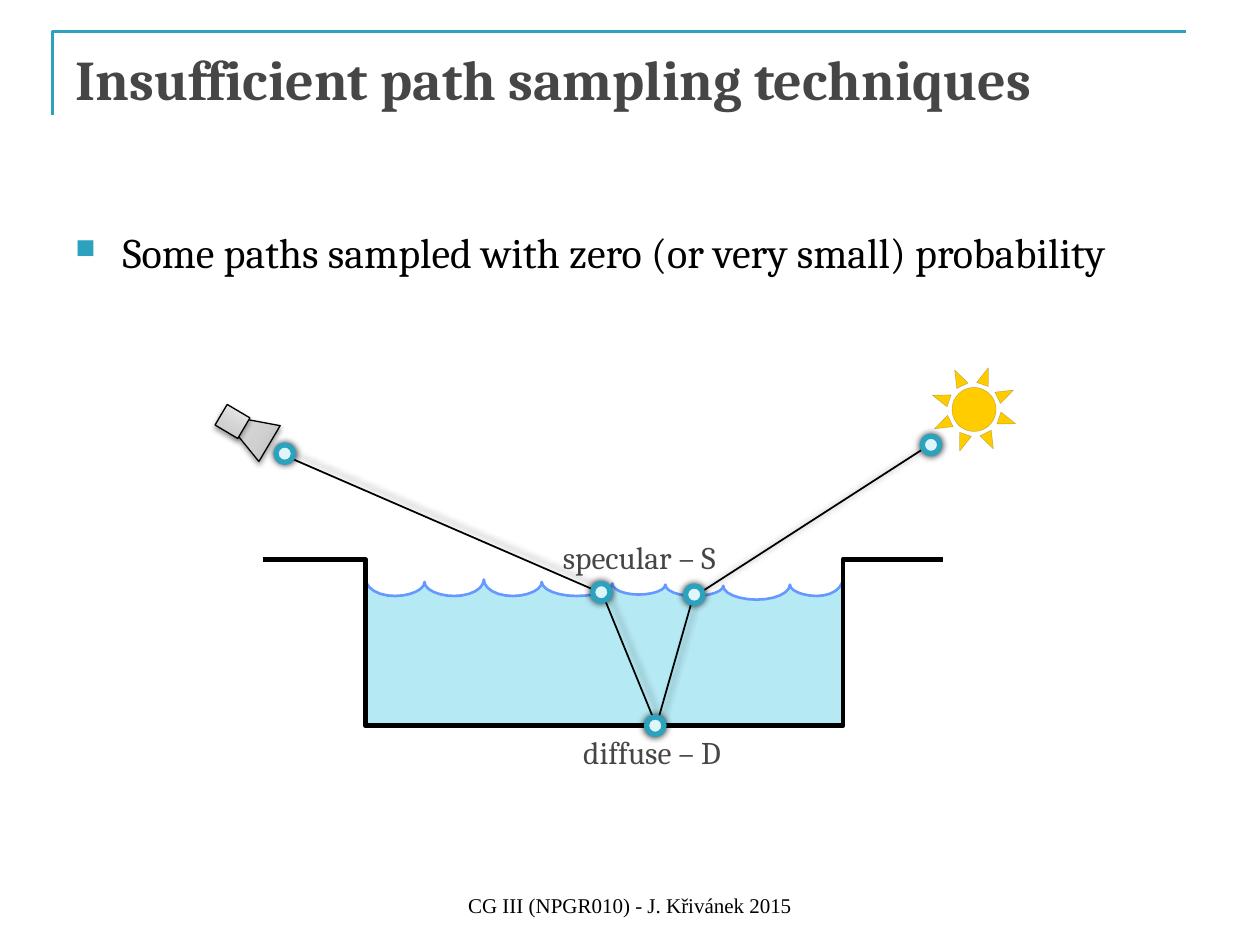
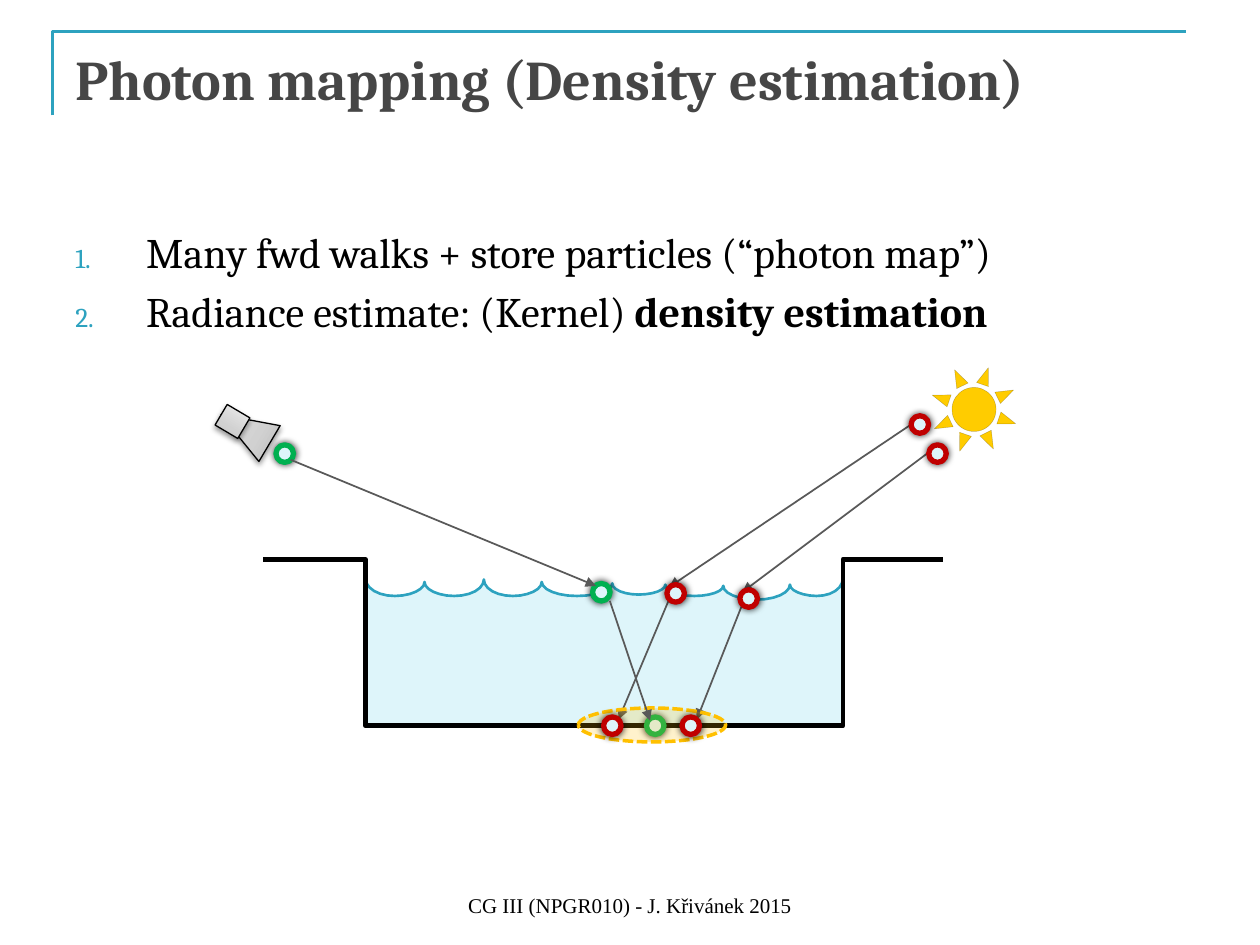
from dataclasses import dataclass
from math import cos, pi, sin

from pptx import Presentation
from pptx.dml.color import RGBColor
from pptx.enum.dml import MSO_LINE
from pptx.enum.shapes import MSO_CONNECTOR, MSO_SHAPE
from pptx.enum.text import MSO_ANCHOR, PP_ALIGN
from pptx.oxml import parse_xml
from pptx.oxml.ns import nsdecls
from pptx.util import Pt


@dataclass(frozen=True)
class Theme:
    teal: str = "2DA2BF"
    gray: str = "464646"
    black: str = "000000"
    arrow: str = "595959"
    pale: str = "DEF5FA"
    water: str = "B5E9F4"
    wave: str = "6699FF"
    green: str = "00B050"
    red: str = "C00000"
    sun: str = "FFCC00"
    glow: str = "FFC000"
    metal: tuple = ((0, "BDBDBD"), (35, "D1D1D1"), (100, "EEEEEE"))
    font: str = "Cambria"
    foot: str = "Times New Roman"
    head_size: int = 32
    body_size: int = 24
    label_size: int = 18
    foot_size: int = 12


THEME = Theme()

# Shadows: opacity %, blur, distance, angle
RING_SHADE = (80, 4, 0, 129)
CAM_SHADE = (38, 3.1, 1.6, 90)
PATH_SHADE = (40, 4, 3, 315)

# Wave crests (x, y) and the trough after each of them
CRESTS = [(208.8, 330.5), (242.6, 332.6), (276.5, 331.2), (309.6, 332.6),
          (349.9, 333.4), (380.2, 334.1), (413.3, 334.8), (451.4, 334.1),
          (481.7, 330.5)]
TROUGHS = [340.6, 340.6, 340.6, 340.6, 339.8, 340.6, 342.7, 340.6]
STEPS = 12
FLOOR = 414.7

# Path vertices
EYE = (162.7, 259.2)
ENTRY = (343.6, 338.4)
HIT = (374.4, FLOOR)


# Styling
def node(tag, attrs="", inner=""):
    return parse_xml(f"<a:{tag} {nsdecls('a')} {attrs}>{inner}</a:{tag}>")


def rgb(code):
    return RGBColor.from_string(code)


def style(shape, fill, line, width, shade=None):
    if fill:
        shape.fill.solid()
        shape.fill.fore_color.rgb = rgb(fill)
    else:
        shape.fill.background()
    shape.line.color.rgb = rgb(line)
    shape.line.width = Pt(width)
    shape.shadow.inherit = False
    if shade:
        alpha, blur, dist, angle = shade
        effect = shape.element.spPr.xpath("a:effectLst")[0]
        effect.append(node(
            "outerShdw",
            f'blurRad="{Pt(blur)}" dist="{Pt(dist)}" dir="{angle * 60000}" '
            'algn="ctr" rotWithShape="0"',
            f'<a:srgbClr val="{THEME.black}">'
            f'<a:alpha val="{alpha * 1000}"/></a:srgbClr>'))


def fade(shape, part, alpha):
    color = shape.element.spPr.xpath(f"{part}/a:srgbClr")[0]
    color.append(node("alpha", f'val="{alpha * 1000}"'))


def polish(shape):
    shape.fill.gradient()
    shape.fill.gradient_angle = 90
    stops = shape.element.spPr.xpath("a:gradFill/a:gsLst")[0]
    for stop in list(stops):
        stops.remove(stop)
    for pos, color in THEME.metal:
        stops.append(node("gs", f'pos="{pos * 1000}"',
                          f'<a:srgbClr val="{color}"/>'))


# Basic elements
def add_form(slide, kind, box, fill, line, width, turn=0, shade=None):
    shape = slide.shapes.add_shape(kind, *map(Pt, box))
    shape.rotation = turn
    style(shape, fill, line, width, shade)
    return shape


def add_path(slide, points, line, width, fill=None, shade=None, close=False):
    spots = [(Pt(x), Pt(y)) for x, y in points]
    pen = slide.shapes.build_freeform(*spots[0])
    pen.add_line_segments(spots[1:], close=close)
    style(pen.convert_to_shape(), fill, line, width, shade)


def add_arrow(slide, start, end):
    link = slide.shapes.add_connector(
        MSO_CONNECTOR.STRAIGHT, *map(Pt, start + end))
    link.line.color.rgb = rgb(THEME.arrow)
    link.line.width = Pt(1)
    props = link.element.spPr
    props.xpath("a:ln")[0].append(node("tailEnd", 'type="triangle"'))
    props.append(node("effectLst"))


def add_ring(slide, center, color):
    x, y = center
    add_form(slide, MSO_SHAPE.OVAL, (x - 5, y - 5, 10, 10),
             THEME.pale, color, 3, shade=RING_SHADE)


def set_font(font, size, color, name=THEME.font, bold=None):
    font.name, font.size, font.bold = name, Pt(size), bold
    font.color.rgb = rgb(color)


def add_box(slide, box, wrap=True):
    frame = slide.shapes.add_textbox(*map(Pt, box)).text_frame
    frame.word_wrap = wrap
    return frame


def add_label(slide, text, box):
    para = add_box(slide, box, wrap=False).paragraphs[0]
    para.text = text
    set_font(para.font, THEME.label_size, THEME.gray)


def add_list(slide, items, mark, indent):
    """Each item is a list of (text, bold) runs."""
    frame = add_box(slide, (36, 126, 648, 356.4))
    for i, runs in enumerate(items):
        para = frame.add_paragraph() if i else frame.paragraphs[0]
        if i:
            para.space_before = Pt(0.2 * THEME.body_size)
        props = para._p.get_or_add_pPr()
        props.set("marL", str(Pt(indent)))
        props.set("indent", str(-Pt(indent)))
        props.append(node("buClr", "", f'<a:srgbClr val="{THEME.teal}"/>'))
        props.append(node("buSzPct", 'val="65000"'))
        props.append(node(*mark))
        set_font(para.font, THEME.body_size, THEME.black)
        for text, bold in runs:
            run = para.add_run()
            run.text = text
            if bold:
                run.font.bold = True


# Shared parts of the slides
def add_frame(slide, title):
    add_path(slide, [(30, 66), (30, 18), (678, 18)], THEME.teal, 1.5)
    head = add_box(slide, (36, 21.6, 648, 90)).paragraphs[0]
    head.text = title
    set_font(head.font, THEME.head_size, THEME.gray, bold=True)


def add_foot(slide):
    frame = add_box(slide, (246, 492, 228, 36))
    frame.vertical_anchor = MSO_ANCHOR.BOTTOM
    para = frame.paragraphs[0]
    para.text = "CG III (NPGR010) - J. Křivánek 2015"
    para.alignment = PP_ALIGN.CENTER
    set_font(para.font, THEME.foot_size, THEME.black, THEME.foot)


def wave_points():
    points = [CRESTS[0]]
    for (x1, y1), (x2, y2), low in zip(CRESTS, CRESTS[1:], TROUGHS):
        for k in range(1, STEPS + 1):
            part = (1 - cos(pi * k / STEPS)) / 2
            top = y1 + (y2 - y1) * part
            points.append((x1 + (x2 - x1) * part,
                           top + (low - top) * sin(pi * k / STEPS)))
    return points


def add_scene(slide, water, wave):
    # Light and camera
    sun = add_form(slide, MSO_SHAPE.SUN, (531.4, 208.8, 50.4, 50.4),
                   THEME.sun, THEME.black, 0.25, 18.9)
    fade(sun, "a:ln/a:solidFill", 24)
    for kind, box, turn in (
            (MSO_SHAPE.ISOSCELES_TRIANGLE, (128.2, 229, 23.8, 32.4), 300.7),
            (MSO_SHAPE.RECTANGLE, (125.3, 234, 15.1, 13.7), 30.6)):
        polish(add_form(slide, kind, box, None, THEME.black, 0.75,
                        turn, CAM_SHADE))
    # Pool
    left, right = CRESTS[0][0], CRESTS[-1][0]
    add_path(slide, wave_points() + [(right, 414), (left, 414)],
             wave, 1.5, water, close=True)
    add_path(slide, [(538.8, 319.7), (right, 319.7), (right, FLOOR),
                     (left, FLOOR), (left, 319.7), (150.3, 319.7)],
             THEME.black, 2.75)


# Slides
def add_paths(slide):
    add_frame(slide, "Insufficient path sampling techniques")
    text = "Some paths sampled with zero (or very small) probability"
    add_list(slide, [[(text, False)]], ("buChar", 'char="■"'), 27)
    add_scene(slide, THEME.water, THEME.wave)
    add_path(slide, [(158.4, 258.5), (344.2, 339.1), (375.1, FLOOR),
                     (396, 341.3), (533.5, 252.7)],
             THEME.black, 1, shade=PATH_SHADE)
    add_label(slide, "diffuse – D", (326.2, 415.4, 103.7, 28.8))
    for spot in (HIT, (396.7, 339.8), ENTRY, (532, 254.2), EYE):
        add_ring(slide, spot, THEME.teal)
    add_label(slide, "specular – S", (314.6, 303.8, 113, 28.8))
    add_foot(slide)


def add_photons(slide):
    add_frame(slide, "Photon mapping (Density estimation)")
    add_list(slide, [
        [("Many fwd walks + store particles (“photon map”)", False)],
        [("Radiance estimate: (Kernel) ", False),
         ("density estimation", True)],
    ], ("buAutoNum", 'type="arabicPeriod"'), 40.5)
    add_scene(slide, THEME.pale, THEME.teal)
    add_foot(slide)
    # Camera path and photon walks
    for spot in (HIT, ENTRY, EYE):
        add_ring(slide, spot, THEME.green)
    for start, end in (((166.3, 262.8), (340.6, 334.8)),
                       ((527, 238.3), (382.3, 335.5)),
                       ((536.4, 254.2), (424.1, 338.4)),
                       ((382.3, 342.7), (353.5, 411.1)),
                       ((424.1, 345.6), (398.2, 411.1))):
        add_arrow(slide, start, end)
    for spot in ((525.6, 242.6), (535.7, 259.2), (386.1, 339.1), (427.8, 342)):
        add_ring(slide, spot, THEME.red)
    # Kernel on the floor
    disk = add_form(slide, MSO_SHAPE.OVAL, (330.5, 404.6, 84.2, 19.4),
                    THEME.glow, THEME.glow, 2)
    disk.line.dash_style = MSO_LINE.SQUARE_DOT
    fade(disk, "a:solidFill", 20)
    for x in (394.7, 349.9):
        add_ring(slide, (x, FLOOR), THEME.red)
    add_arrow(slide, (348.5, 343.4), (371.5, 411.8))


def main():
    deck = Presentation()
    deck.slide_width, deck.slide_height = Pt(720), Pt(540)
    for build in (add_paths, add_photons):
        build(deck.slides.add_slide(deck.slide_layouts[6]))
    deck.save("out.pptx")


if __name__ == "__main__":
    main()
